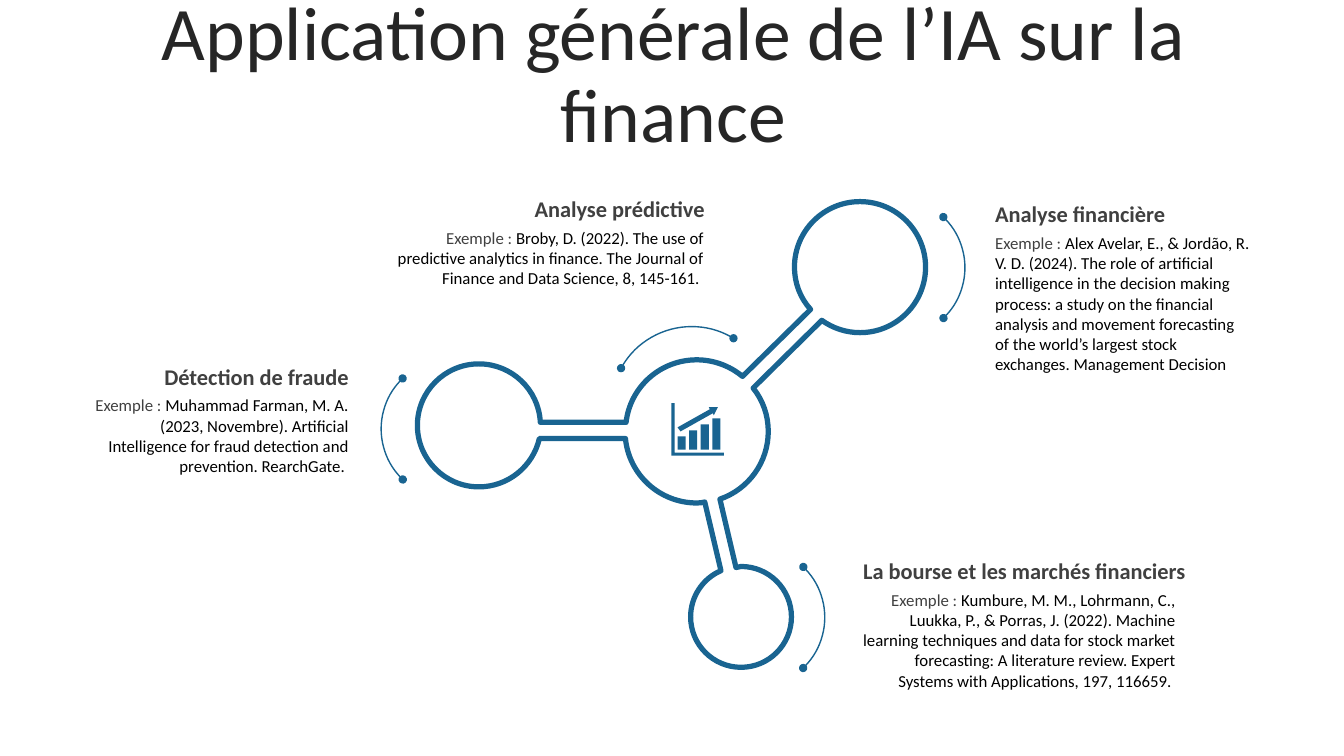
from dataclasses import dataclass
from math import atan2, ceil, cos, pi, sin, tan

from lxml import etree
from pptx import Presentation
from pptx.dml.color import RGBColor
from pptx.enum.shapes import MSO_SHAPE as SHAPE
from pptx.enum.text import MSO_ANCHOR as ANCHOR, MSO_AUTO_SIZE as AUTO, PP_ALIGN as ALIGN
from pptx.oxml.ns import qn
from pptx.util import Inches, Pt

BLUE = RGBColor(0x19, 0x64, 0x91)
DARK = RGBColor(0x26, 0x26, 0x26)
GREY = RGBColor(0x40, 0x40, 0x40)
BLACK = RGBColor(0, 0, 0)
FONT = "Calibri"

Point = tuple[float, float]


@dataclass
class Circle:
    x: float
    y: float
    r: float


@dataclass
class Topic:
    title: str
    example: str
    left: float
    top: float
    title_w: float
    body_w: float
    body_h: float
    title_align: ALIGN = ALIGN.RIGHT
    body_align: ALIGN = ALIGN.RIGHT


@dataclass
class Arc:
    left: float
    top: float
    size: float
    rotation: float
    flipped: bool = False


TOPICS = [
    Topic("Analyse financière",
          "Alex Avelar, E., & Jordão, R. V. D. (2024). The role of artificial intelligence in "
          "the decision making process: a study on the financial analysis and movement "
          "forecasting of the world’s largest stock exchanges. Management Decision",
          9.75, 1.94, 2.78, 2.77, 1.51, ALIGN.LEFT, ALIGN.LEFT),
    Topic("Analyse prédictive",
          "Broby, D. (2022). The use of predictive analytics in finance. The Journal of "
          "Finance and Data Science, 8, 145-161. ",
          3.68, 1.89, 3.43, 3.42, 0.71),
    Topic("Détection de fraude",
          "Muhammad Farman, M. A. (2023, Novembre). Artificial Intelligence for fraud "
          "detection and prevention. RearchGate. ",
          0.71, 3.55, 2.87, 2.87, 0.91),
    Topic("La bourse et les marchés financiers",
          "Kumbure, M. M., Lohrmann, C., Luukka, P., & Porras, J. (2022). Machine learning "
          "techniques and data for stock market forecasting: A literature review. Expert "
          "Systems with Applications, 197, 116659. ",
          8.44, 5.48, 3.58, 3.34, 1.11, ALIGN.LEFT),
]

ARCS = [Arc(6.06, 3.24, 1.6, 300), Arc(8.18, 1.96, 1.39, 135, True),
        Arc(3.78, 3.56, 1.39, 315, True), Arc(6.79, 5.43, 1.39, 45)]

HUB = Circle(6.91, 4.28, 0.71)
ANALYSIS = Circle(8.53, 2.65, 0.65)
MARKETS = Circle(7.35, 6.12, 0.5)
FRAUD = Circle(4.75, 4.22, 0.61)

# Clockwise outline: arcs of the circles, joined by straight links
NETWORK = [
    (ANALYSIS, (8.53, 2), (8.15, 3.18)),
    (HUB, (7.47, 3.85), (7.14, 4.95)),
    (MARKETS, (7.3, 5.63), (7.15, 5.66)),
    (HUB, (6.99, 4.98), (6.21, 4.35)),
    (FRAUD, (5.35, 4.35), (5.36, 4.19)),
    (HUB, (6.21, 4.19), (7.36, 3.74)),
    (ANALYSIS, (8.04, 3.07), (8.53, 2)),
]


def arc_curves(c: Circle, start: Point, end: Point) -> list[Point]:
    """Start point, then three Bézier points for each part of a quadrant."""
    a = atan2(start[1] - c.y, start[0] - c.x)
    b = a + (atan2(end[1] - c.y, end[0] - c.x) - a) % (2 * pi)
    quarter = pi / 2
    cuts = [k * quarter for k in range(ceil(a / quarter), ceil(b / quarter))]
    angles = [a, *(t for t in cuts if a + 0.01 < t < b - 0.01), b]
    points = [start]
    for t, u in zip(angles, angles[1:]):
        k = 4 / 3 * tan((u - t) / 4)
        points += [(c.x + c.r * (cos(t) - k * sin(t)), c.y + c.r * (sin(t) + k * cos(t))),
                   (c.x + c.r * (cos(u) + k * sin(u)), c.y + c.r * (sin(u) - k * cos(u))),
                   (c.x + c.r * cos(u), c.y + c.r * sin(u))]
    return points


def add_outline(slide, contours: list[list[Point]]):
    scaled = [[(Inches(x), Inches(y)) for x, y in points] for points in contours]
    builder = slide.shapes.build_freeform(*scaled[0][0], scale=1.0)
    for i, points in enumerate(scaled):
        if i:
            builder.move_to(*points[0])
        builder.add_line_segments(points[1:], close=True)
    sp = builder.convert_to_shape()
    sp.shadow.inherit = False
    return sp


def add_network(slide) -> None:
    points, curve_starts = [], []
    for circle, start, end in NETWORK:
        arc = arc_curves(circle, start, end)
        curve_starts += range(len(points), len(points) + len(arc) - 1, 3)
        points += arc
    sp = add_outline(slide, [points])
    # Merge each three points of an arc into one curve
    lines = list(sp._element.iter(qn("a:lnTo")))
    for i in curve_starts:
        curve = etree.Element(qn("a:cubicBezTo"))
        lines[i].addprevious(curve)
        for line in lines[i:i + 3]:
            curve.append(line[0])
            line.getparent().remove(line)
    sp.fill.background()
    sp.line.color.rgb = BLUE
    sp.line.width = Pt(3.75)


def add_text_box(slide, left: float, top: float, width: float, height: float,
                 align: ALIGN, inset: float = 0.12):
    tf = slide.shapes.add_textbox(Inches(left), Inches(top),
                                  Inches(width), Inches(height)).text_frame
    tf.word_wrap = True
    tf.margin_left = tf.margin_right = Inches(inset)
    tf.paragraphs[0].alignment = align
    return tf


def add_run(p, text: str, *, size: float, color: RGBColor, bold: bool = False) -> None:
    r = p.add_run()
    r.text = text
    r.font.name = FONT
    r.font.size = Pt(size)
    r.font.bold = bold
    r.font.color.rgb = color


def add_topic(slide, t: Topic) -> None:
    body = add_text_box(slide, t.left, t.top + 0.32, t.body_w, t.body_h, t.body_align)
    add_run(body.paragraphs[0], "Exemple : ", size=12, color=GREY)
    add_run(body.paragraphs[0], t.example, size=12, color=BLACK)
    title = add_text_box(slide, t.left, t.top, t.title_w, 0.37, t.title_align)
    add_run(title.paragraphs[0], t.title, size=16, color=GREY, bold=True)
    body.auto_size = title.auto_size = AUTO.SHAPE_TO_FIT_TEXT


def add_arc(slide, a: Arc) -> None:
    sp = slide.shapes.add_shape(SHAPE.ARC, Inches(a.left), Inches(a.top),
                                Inches(a.size), Inches(a.size))
    sp.adjustments[0], sp.adjustments[1] = 161.374, 0.749
    sp.rotation = a.rotation
    if a.flipped:
        sp._element.spPr.find(qn("a:xfrm")).set("flipH", "1")
    sp.shadow.inherit = False
    sp.fill.background()
    sp.line.color.rgb = BLUE
    sp.line.width = Pt(1)
    ln = sp.line._get_or_add_ln()
    for tag in ("a:headEnd", "a:tailEnd"):
        etree.SubElement(ln, qn(tag), type="oval")


def add_chart_icon(slide) -> None:
    bars = []
    for i in range(4):
        x, top = 6.72 + 0.115 * i, 4.33 - 0.06 * i
        bars.append([(x, top), (x + 0.08, top), (x + 0.08, 4.46), (x, 4.46)])
    arrow = [(7.03, 4.04), (7.12, 4.04), (7.08, 4.12), (7.07, 4.1),
             (6.75, 4.28), (6.72, 4.24), (7.04, 4.06)]
    axes = [(6.66, 4), (6.69, 4), (6.69, 4.49), (7.18, 4.49), (7.18, 4.52), (6.66, 4.52)]
    sp = add_outline(slide, [*bars, arrow, axes])
    sp.fill.solid()
    sp.fill.fore_color.rgb = BLUE
    sp.line.fill.background()


prs = Presentation()
prs.slide_width, prs.slide_height = Inches(13.33), Inches(7.5)
s = prs.slides.add_slide(prs.slide_layouts[6])

# Title
tf = add_text_box(s, 0.35, 0.37, 12.66, 0.79, ALIGN.CENTER, inset=0.1)
tf.vertical_anchor = ANCHOR.MIDDLE
tf.paragraphs[0].line_spacing = 0.9
add_run(tf.paragraphs[0], "Application générale de l’IA sur la finance", size=54, color=DARK)

# Linked circles, topics, accent arcs and hub icon
add_network(s)
for topic in TOPICS:
    add_topic(s, topic)
for accent in ARCS:
    add_arc(s, accent)
add_chart_icon(s)

prs.save("out.pptx")
